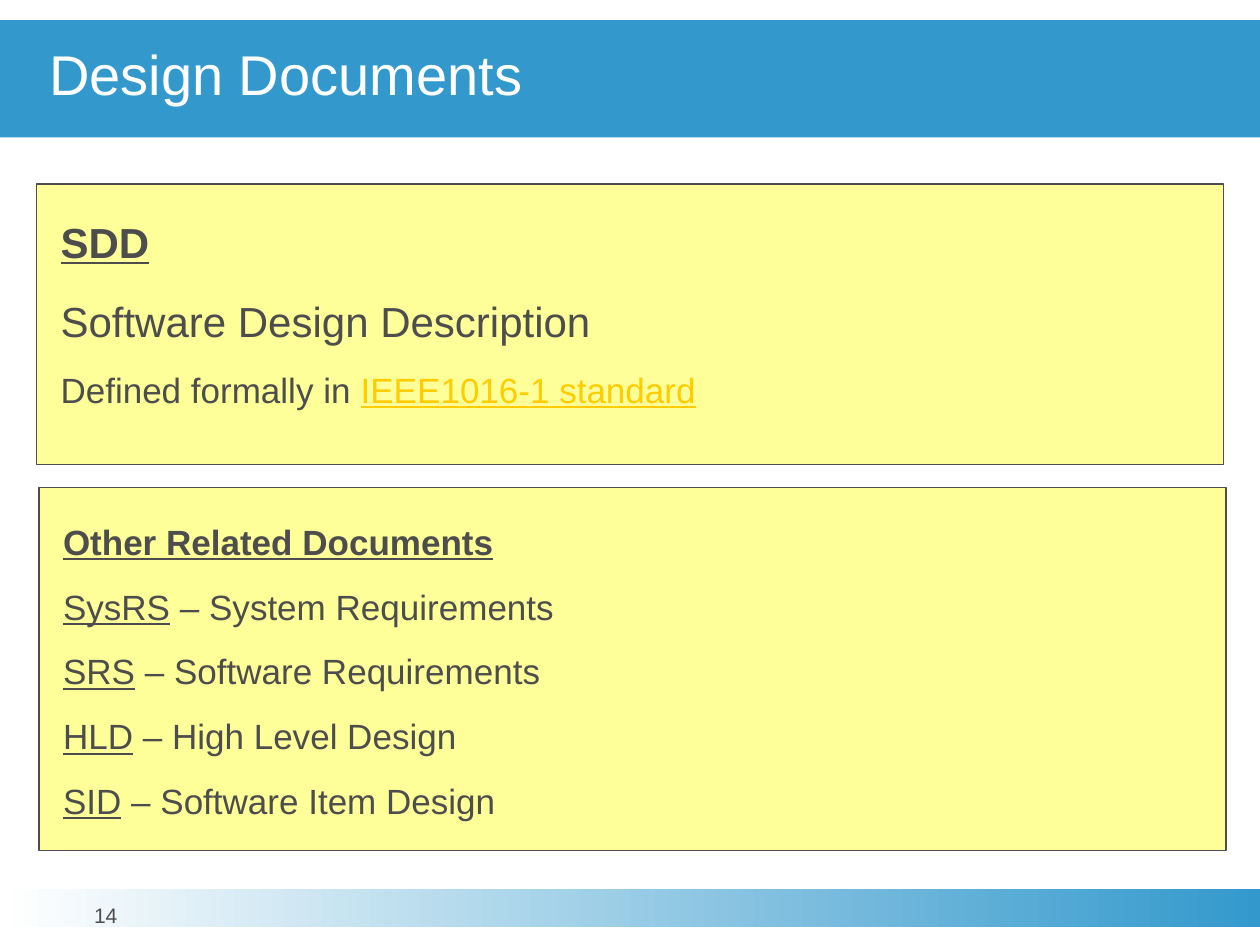
from pptx import Presentation
from pptx.dml.color import RGBColor
from pptx.enum.shapes import MSO_SHAPE as Shape
from pptx.enum.text import MSO_ANCHOR as Anchor, MSO_AUTO_SIZE as Fit, PP_ALIGN as Align
from pptx.util import Inches, Pt

BLUE, YELLOW, GRAY, GOLD, WHITE = "3399CC", "FFFF99", "4D4D4D", "FECC00", "FFFFFF"


def color(code):
    return RGBColor.from_string(code)


def write(para, text, size=20, ink=GRAY, bold=False, under=False):
    run = para.add_run()
    run.text = text
    font = run.font
    font.name, font.size = "Arial", Pt(size)
    font.bold, font.underline = bold, under
    font.color.rgb = color(ink)


def set_frame(shape, left=0, top=0, anchor=Anchor.TOP):
    frame = shape.text_frame
    frame.word_wrap = True
    frame.auto_size = Fit.NONE
    frame.vertical_anchor = anchor
    frame.margin_left, frame.margin_top = Inches(left), Inches(top)
    frame.margin_right = frame.margin_bottom = 0
    return frame


def add_rect(slide, box):
    rect = slide.shapes.add_shape(Shape.RECTANGLE, *map(Inches, box))
    rect.shadow.inherit = False
    return rect


def add_title(slide, box, text):
    title = slide.shapes.title
    title.left, title.top, title.width, title.height = map(Inches, box)
    title.fill.solid()
    title.fill.fore_color.rgb = color(BLUE)
    para = set_frame(title, left=0.39, anchor=Anchor.MIDDLE).paragraphs[0]
    para.alignment = Align.LEFT
    para.line_spacing = 0.85
    para.space_before = Pt(0)
    write(para, text, size=32, ink=WHITE)


def add_panel(slide, box, rows):
    panel = add_rect(slide, box)
    panel.fill.solid()
    panel.fill.fore_color.rgb = color(YELLOW)
    panel.line.color.rgb = color(GRAY)
    panel.line.width = Pt(0.75)
    frame = set_frame(panel, left=0.19, top=0.26)
    for i, (gap, runs) in enumerate(rows):
        para = frame.add_paragraph() if i else frame.paragraphs[0]
        para.alignment = Align.JUSTIFY
        para.space_before = Pt(gap)
        for text, style in runs:
            write(para, text, **style)


def add_footer(slide, box, number):
    left, top, _, _ = box
    bar = add_rect(slide, box)
    bar.line.fill.background()
    bar.fill.gradient()
    bar.fill.gradient_angle = 0
    for stop, place, code in zip(bar.fill.gradient_stops, (0, 1), (WHITE, BLUE)):
        stop.position = place
        stop.color.rgb = color(code)
    label = slide.shapes.add_textbox(
        Inches(left + 0.31), Inches(top + 0.12), Inches(1.06), Inches(0.31))
    para = set_frame(label).paragraphs[0]
    para.alignment = Align.CENTER
    para.line_spacing = Pt(13)
    write(para, number, size=12)


deck = Presentation()
deck.slide_width, deck.slide_height = Inches(10), Inches(7.5)
slide = deck.slides.add_slide(deck.slide_layouts[5])

main = [
    (0, [("SDD", dict(size=24, bold=True, under=True))]),
    (16, [("Software Design Description", dict(size=24))]),
    (13, [("Defined formally in ", {}),
          ("IEEE1016-1 standard", dict(ink=GOLD, under=True))]),
]
terms = [
    ("SysRS", "System Requirements"),
    ("SRS", "Software Requirements"),
    ("HLD", "High Level Design"),
    ("SID", "Software Item Design"),
]
other = [(0, [("Other Related Documents", dict(bold=True, under=True))])]
other += [(13, [(term, dict(under=True)), (f" – {name}", {})]) for term, name in terms]

add_footer(slide, (0, 7.06, 10, 0.3), "14")
add_title(slide, (0, 0.16, 10, 0.93), "Design Documents")
add_panel(slide, (0.29, 1.46, 9.42, 2.23), main)
add_panel(slide, (0.31, 3.87, 9.42, 2.88), other)

deck.save("out.pptx")
